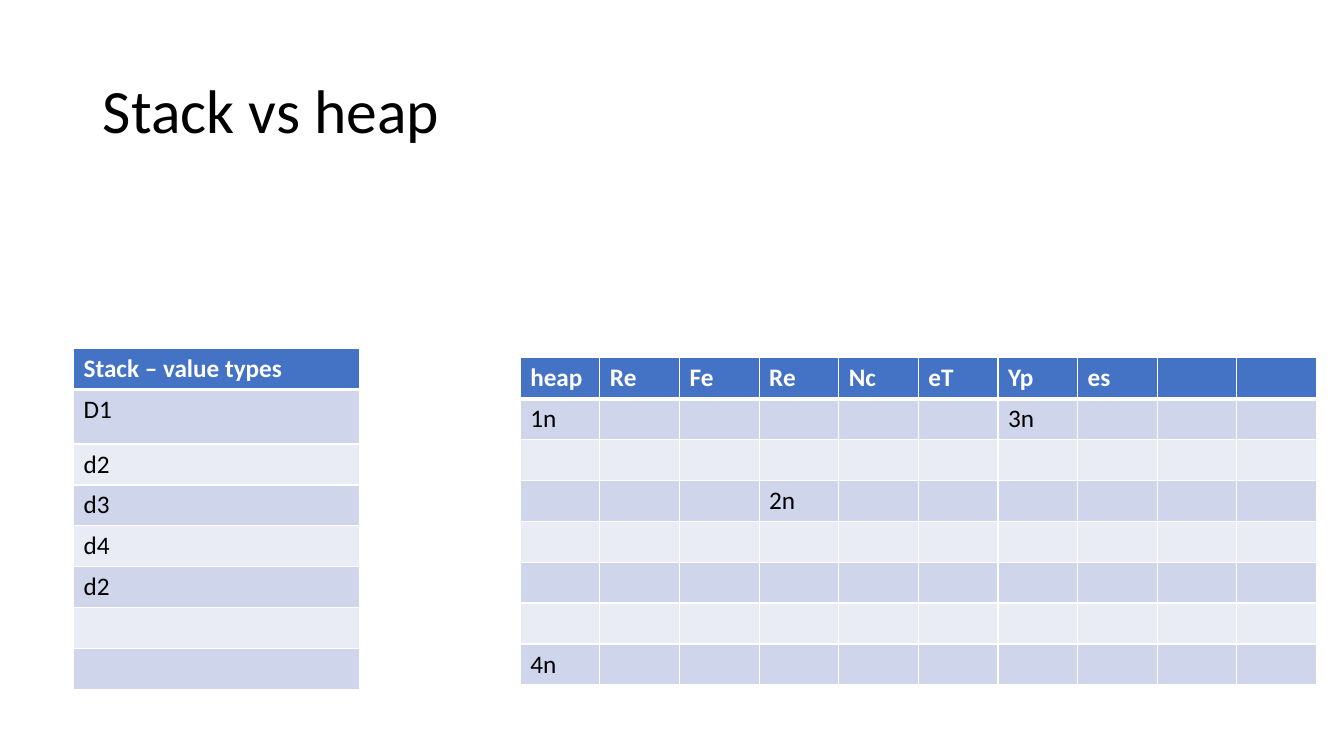
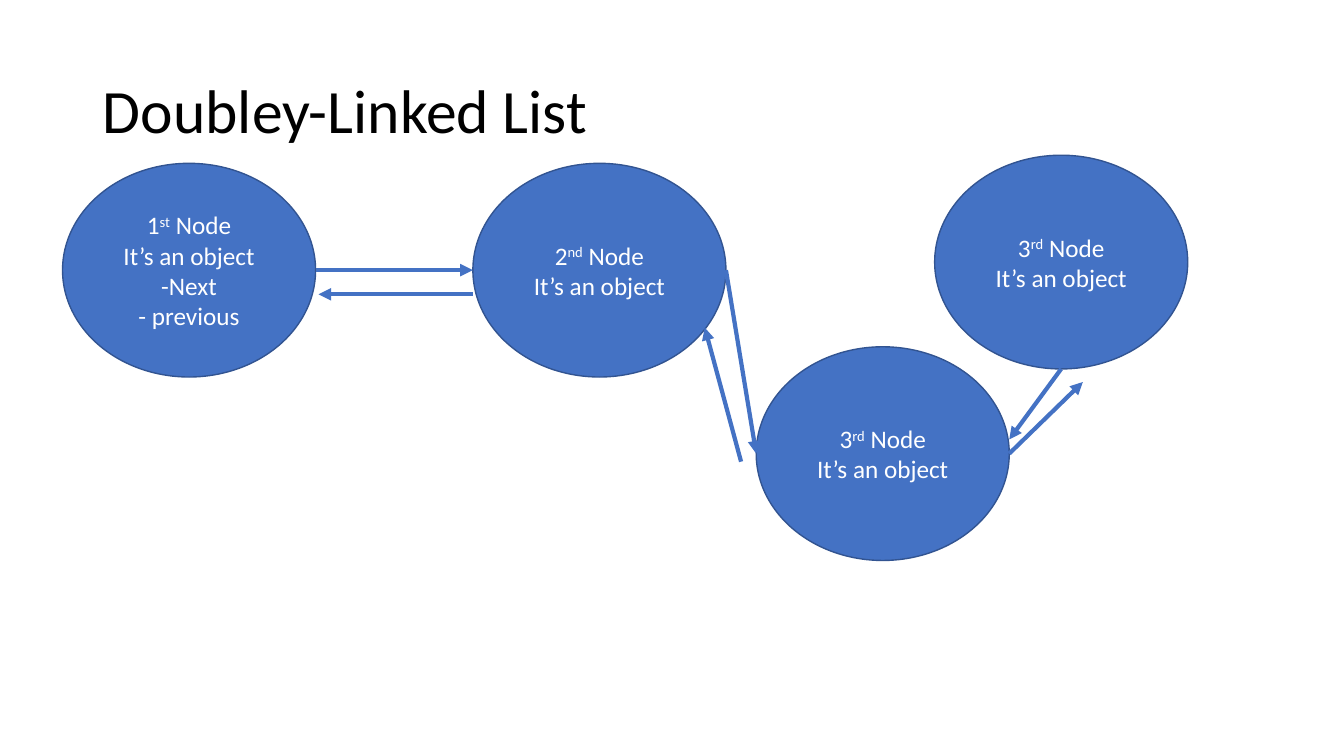
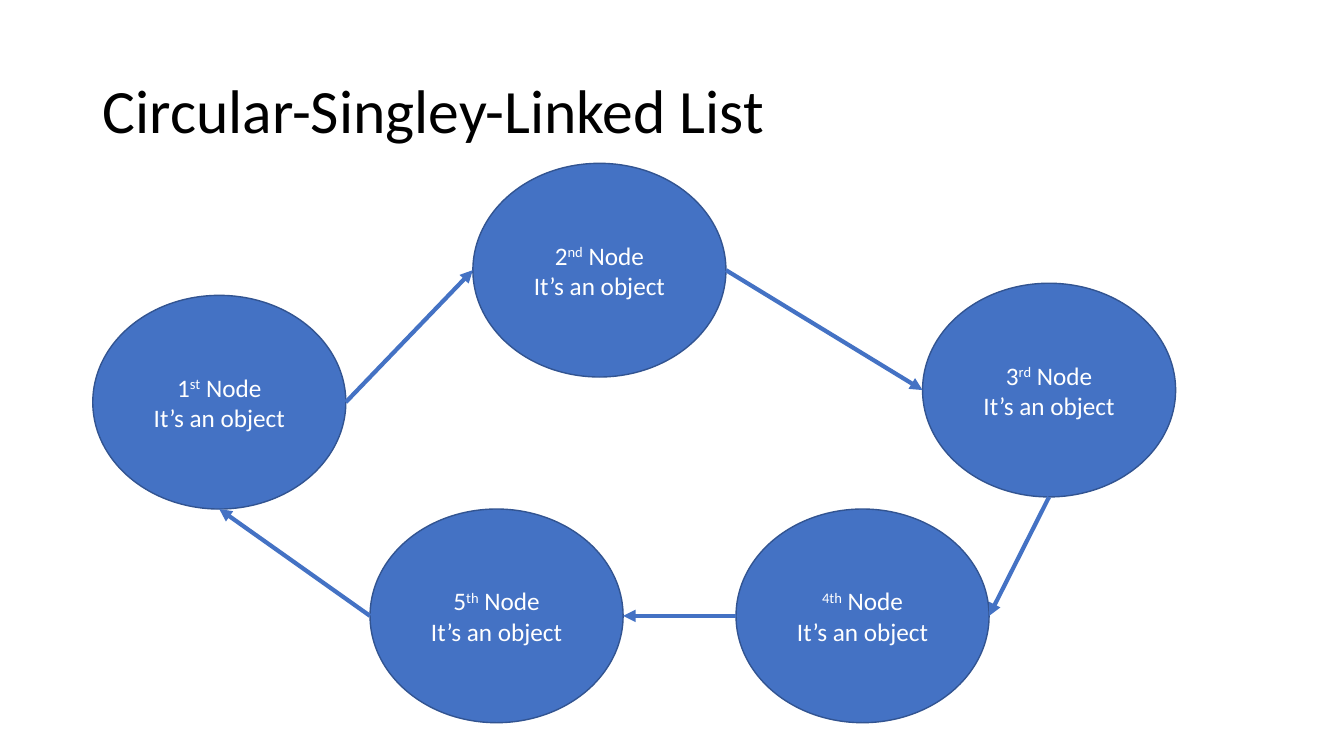
from dataclasses import dataclass, field
from enum import IntEnum
from typing import NamedTuple

from lxml.etree import SubElement
from pptx import Presentation
from pptx.dml.color import RGBColor
from pptx.enum.shapes import MSO_CONNECTOR, MSO_SHAPE
from pptx.enum.text import MSO_ANCHOR, PP_ALIGN
from pptx.oxml.ns import qn
from pptx.util import Inches, Pt


@dataclass(frozen=True)
class Theme:
    font: str = "Calibri"
    title_size: Pt = Pt(44)
    body_size: Pt = Pt(18)
    white: RGBColor = RGBColor.from_string("FFFFFF")
    black: RGBColor = RGBColor.from_string("000000")
    accent: RGBColor = RGBColor.from_string("4472C4")
    outline: RGBColor = RGBColor.from_string("325491")
    bands: tuple = (RGBColor.from_string("E9EBF5"), RGBColor.from_string("CFD5EA"))
    thin: Pt = Pt(1)
    thick: Pt = Pt(3)


class Side(IntEnum):
    TOP = 0
    LEFT = 1
    BOTTOM = 2
    RIGHT = 3


class Port(NamedTuple):
    node: str
    side: Side


class Point(NamedTuple):
    x: float
    y: float


class Node(NamedTuple):
    key: str
    left: float
    top: float
    number: str
    suffix: str
    details: tuple = ()


class Link(NamedTuple):
    start: Port | Point
    end: Port | Point


@dataclass
class Grid:
    left: float
    top: float
    col_width: float
    header: list[str]
    texts: dict[tuple[int, int], str]
    tall_rows: dict[int, float] = field(default_factory=dict)


THEME = Theme()
NODE_WIDTH, NODE_HEIGHT = Inches(2.51), Inches(2.12)
ROW_COUNT, ROW_HEIGHT = 8, 0.4

MEMORY = [
    Grid(0.73, 3.46, 2.84, ["Stack – value types"],
         {(row, 0): name for row, name in enumerate(["D1", "d2", "d3", "d4", "d2"], 1)},
         {1: 0.54}),
    Grid(5.16, 3.55, 0.79,
         ["heap", "Re", "Fe", "Re", "Nc", "eT", "Yp", "es", "", ""],
         {(1, 0): "1n", (1, 6): "3n", (3, 3): "2n", (7, 0): "4n"}),
]

DOUBLE_NODES = [
    Node("first", 0.62, 1.62, "1", "st", ("-Next", "- previous")),
    Node("second", 4.69, 1.62, "2", "nd"),
    Node("last", 9.27, 1.54, "3", "rd"),
    Node("third", 7.5, 3.44, "3", "rd"),
]
DOUBLE_LINKS = [
    Link(Port("first", Side.RIGHT), Port("second", Side.LEFT)),
    Link(Point(4.69, 2.92), Point(3.16, 2.92)),
    Link(Port("second", Side.RIGHT), Port("third", Side.LEFT)),
    Link(Point(7.35, 4.58), Point(6.99, 3.25)),
    Link(Port("last", Side.BOTTOM), Point(10.01, 4.36)),
    Link(Port("third", Side.RIGHT), Point(10.74, 3.79)),
]

CIRCLE_NODES = [
    Node("first", 0.92, 2.93, "1", "st"),
    Node("second", 4.69, 1.62, "2", "nd"),
    Node("third", 9.15, 2.81, "3", "rd"),
    Node("fourth", 7.3, 5.05, "", "4th"),
    Node("fifth", 3.67, 5.05, "5", "th"),
]
CIRCLE_LINKS = [
    Link(Port("first", Side.RIGHT), Port("second", Side.LEFT)),
    Link(Port("second", Side.RIGHT), Port("third", Side.LEFT)),
    Link(Port("third", Side.BOTTOM), Port("fourth", Side.RIGHT)),
    Link(Port("fourth", Side.LEFT), Port("fifth", Side.RIGHT)),
    Link(Port("fifth", Side.LEFT), Port("first", Side.BOTTOM)),
]


def style_paragraph(p, size: Pt, color: RGBColor, bold: bool = False) -> None:
    p.font.name = THEME.font
    p.font.size = size
    p.font.bold = bold
    p.font.color.rgb = color


def add_titled_slide(prs, title: str, width: float = 11.5):
    s = prs.slides.add_slide(prs.slide_layouts[5])
    sp = s.shapes.title
    sp.left, sp.top = Inches(0.92), Inches(0.4)
    sp.width, sp.height = Inches(width), Inches(1.45)
    tf = sp.text_frame
    tf.text = title
    tf.vertical_anchor = MSO_ANCHOR.MIDDLE
    p = tf.paragraphs[0]
    p.alignment = PP_ALIGN.LEFT
    p.line_spacing = 0.9
    style_paragraph(p, THEME.title_size, THEME.black)
    return s


def add_border(cell, edge: str, width: Pt) -> None:
    ln = SubElement(cell._tc.get_or_add_tcPr(), qn(f"a:{edge}"), w=str(width))
    fill = SubElement(ln, qn("a:solidFill"))
    SubElement(fill, qn("a:srgbClr"), val=str(THEME.white))


def draw_cell(cell, row: int, text: str) -> None:
    is_header = row == 0
    thick_edge = {0: "lnB", 1: "lnT"}.get(row)
    for edge in ("lnL", "lnR", "lnT", "lnB"):
        add_border(cell, edge, THEME.thick if edge == thick_edge else THEME.thin)
    cell.fill.solid()
    cell.fill.fore_color.rgb = THEME.accent if is_header else THEME.bands[row % 2]
    cell.text = text
    style_paragraph(cell.text_frame.paragraphs[0], THEME.body_size,
                    THEME.white if is_header else THEME.black, is_header)


def draw_grid(s, grid: Grid) -> None:
    cols = len(grid.header)
    heights = [grid.tall_rows.get(row, ROW_HEIGHT) for row in range(ROW_COUNT)]
    table = s.shapes.add_table(
        ROW_COUNT, cols, Inches(grid.left), Inches(grid.top),
        Inches(grid.col_width * cols), Inches(sum(heights))).table
    for column in table.columns:
        column.width = Inches(grid.col_width)
    texts = grid.texts | {(0, col): name for col, name in enumerate(grid.header)}
    for row, height in enumerate(heights):
        table.rows[row].height = Inches(height)
        for col in range(cols):
            draw_cell(table.cell(row, col), row, texts.get((row, col), ""))


def draw_node(s, node: Node):
    sp = s.shapes.add_shape(MSO_SHAPE.OVAL, Inches(node.left), Inches(node.top),
                            NODE_WIDTH, NODE_HEIGHT)
    sp.shadow.inherit = False
    sp.fill.solid()
    sp.fill.fore_color.rgb = THEME.accent
    sp.line.color.rgb = THEME.outline
    sp.line.width = THEME.thin
    tf = sp.text_frame
    tf.word_wrap = True
    tf.vertical_anchor = MSO_ANCHOR.MIDDLE
    p = tf.paragraphs[0]
    if node.number:
        p.add_run().text = node.number
    r = p.add_run()
    r.text = node.suffix
    r.font._element.set("baseline", "30000")
    p.add_run().text = " Node"
    for line in ("It’s an object", *node.details):
        tf.add_paragraph().text = line
    for p in tf.paragraphs:
        p.alignment = PP_ALIGN.CENTER
        style_paragraph(p, THEME.body_size, THEME.white)
    return sp


def join(c, tag: str, connect, ovals: dict, port: Port) -> None:
    connect(ovals[port.node], port.side)
    # an oval has eight sites, so each side sits at twice its rectangle index
    c._element.find(f".//{qn(tag)}").set("idx", str(port.side * 2))


def draw_link(s, link: Link, ovals: dict) -> None:
    start, end = (e if isinstance(e, Point) else Point(0, 0) for e in link)
    c = s.shapes.add_connector(MSO_CONNECTOR.STRAIGHT, Inches(start.x), Inches(start.y),
                               Inches(end.x), Inches(end.y))
    if isinstance(link.start, Port):
        join(c, "a:stCxn", c.begin_connect, ovals, link.start)
    if isinstance(link.end, Port):
        join(c, "a:endCxn", c.end_connect, ovals, link.end)
    c.line.color.rgb = THEME.accent
    c.line.width = THEME.thick
    SubElement(c.line._get_or_add_ln(), qn("a:tailEnd"), type="triangle")
    SubElement(c._element.spPr, qn("a:effectLst"))


def draw_list(s, nodes: list[Node], links: list[Link]) -> None:
    ovals = {node.key: draw_node(s, node) for node in nodes}
    for link in links:
        draw_link(s, link, ovals)


def main() -> None:
    prs = Presentation()
    prs.slide_width, prs.slide_height = Inches(13.33), Inches(7.5)
    s = add_titled_slide(prs, "Stack vs heap", 3.95)
    for grid in MEMORY:
        draw_grid(s, grid)
    draw_list(add_titled_slide(prs, "Doubley-Linked List"), DOUBLE_NODES, DOUBLE_LINKS)
    draw_list(add_titled_slide(prs, "Circular-Singley-Linked List"),
              CIRCLE_NODES, CIRCLE_LINKS)
    prs.save("out.pptx")


if __name__ == "__main__":
    main()
